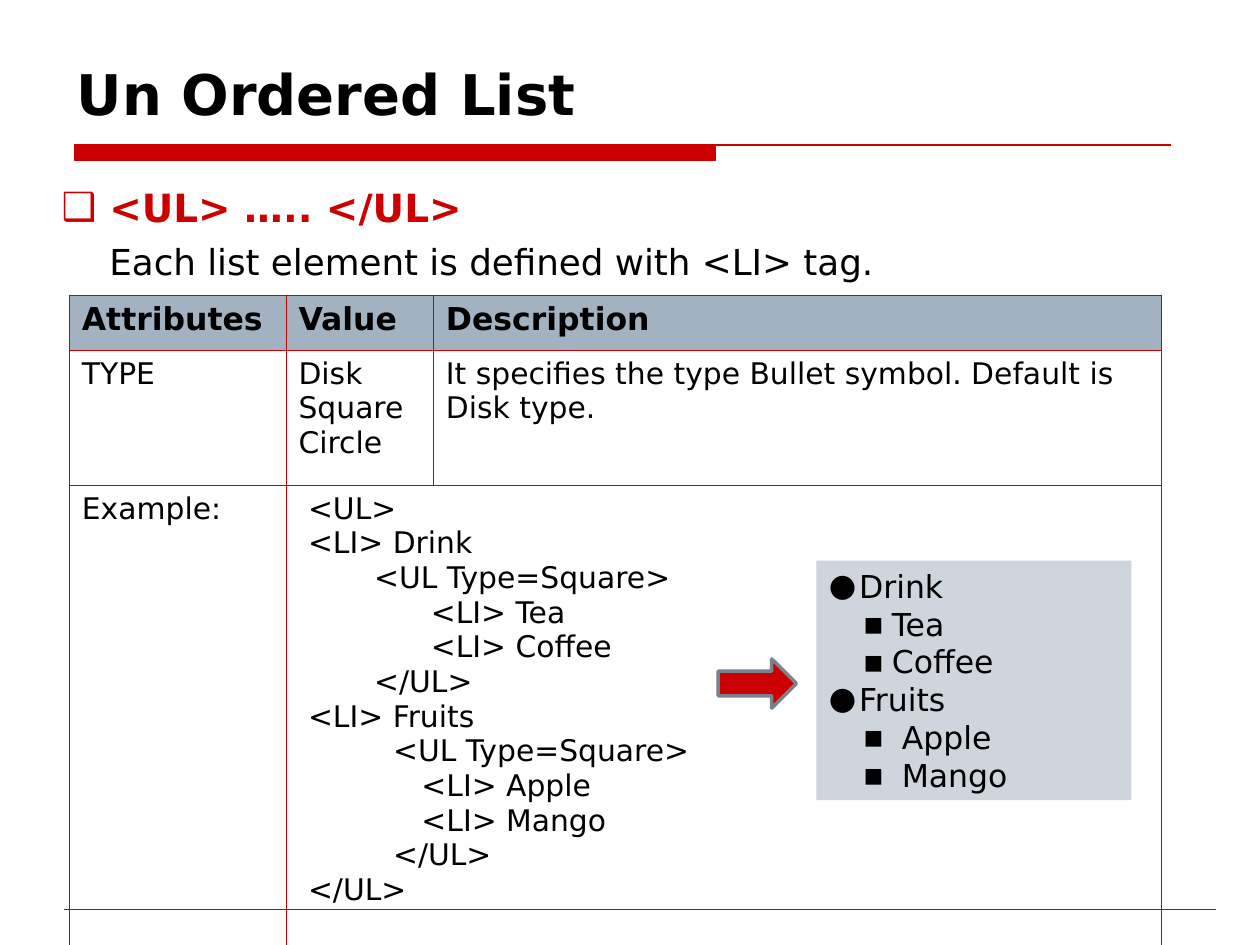
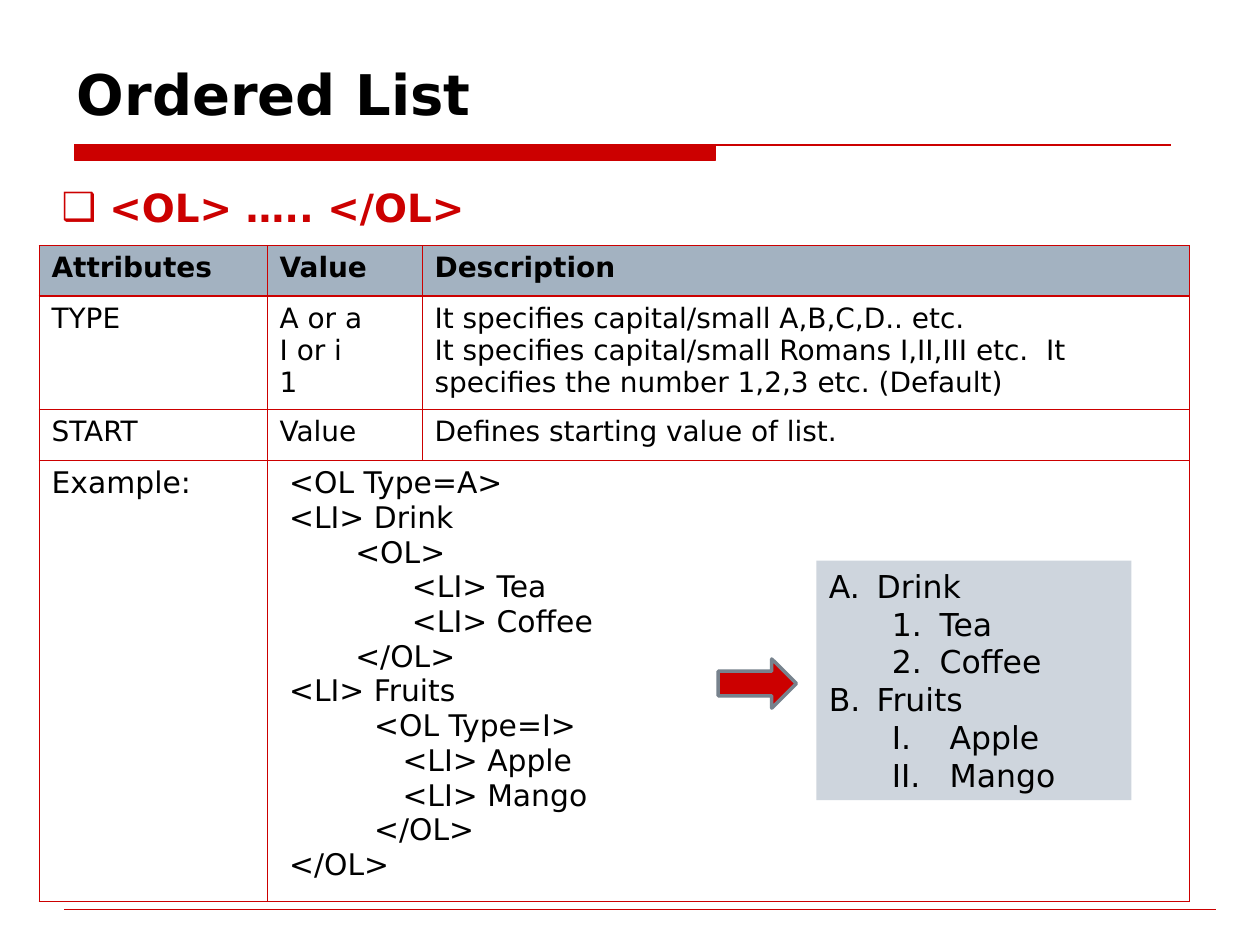
from dataclasses import dataclass
from typing import NamedTuple

from lxml.etree import SubElement
from pptx import Presentation
from pptx.dml.color import RGBColor
from pptx.enum.shapes import MSO_CONNECTOR, MSO_SHAPE
from pptx.enum.text import MSO_ANCHOR, MSO_AUTO_SIZE, PP_ALIGN
from pptx.oxml.ns import qn
from pptx.util import Inches, Pt

COLORS = {
    "accent": "CC0000",
    "text": "000000",
    "header": "A3B2C1",
    "panel": "CED5DD",
    "arrow_edge": "77828D",
}
FONT = "DejaVu Sans"
CODE_SIZE = 17
CODE_STEP = 0.075  # inches for one character of code indent
THIN, THICK = 0.45, 0.96


class Bullet(NamedTuple):
    kind: str  # "buChar" or "buAutoNum"
    value: str
    margin: float
    hanging: float


class Item(NamedTuple):
    text: str
    bullet: Bullet


class CodeLine(NamedTuple):
    indent: int
    text: str


@dataclass
class ListPage:
    title: str
    tag_line: str
    explanation: str
    table_left: float
    table_top: float
    columns: list[float]
    rows: list[float]
    header_size: int
    body_size: int
    attributes: list[list[str]]
    code: list[CodeLine]
    result: list[Item]


def code_lines(tag: str, outer: str, drinks: str, fruits: str) -> list[CodeLine]:
    """Nested list markup with the given opening tags."""
    close = f"</{tag}>"
    return [
        CodeLine(1, outer), CodeLine(1, "<LI> Drink"),
        CodeLine(8, drinks), CodeLine(14, "<LI> Tea"),
        CodeLine(14, "<LI> Coffee"), CodeLine(8, close),
        CodeLine(1, "<LI> Fruits"),
        CodeLine(10, fruits), CodeLine(13, "<LI> Apple"),
        CodeLine(13, "<LI> Mango"), CodeLine(10, close),
        CodeLine(1, close),
    ]


def result_items(top: Bullet, drinks: Bullet, fruits: Bullet) -> list[Item]:
    return [
        Item("Drink", top), Item("Tea", drinks), Item("Coffee", drinks),
        Item("Fruits", top), Item(" Apple", fruits), Item(" Mango", fruits),
    ]


HEADER = ["Attributes", "Value", "Description"]
CHECKBOX = Bullet("buChar", "❑", 0.38, 0.38)
DISK = Bullet("buChar", "●", 0.24, 0.24)
SQUARE = Bullet("buChar", "▪", 0.5, 0.23)
LETTER = Bullet("buAutoNum", "alphaUcPeriod", 0.38, 0.38)
NUMBER = Bullet("buAutoNum", "arabicPeriod", 0.88, 0.38)
ROMAN = Bullet("buAutoNum", "romanUcPeriod", 0.88, 0.38)

PAGES = [
    ListPage(
        title="Un Ordered List",
        tag_line="<UL> ….. </UL>",
        explanation="Each list element is defined with <LI> tag.",
        table_left=0.55, table_top=2.34,
        columns=[1.72, 1.17, 5.78], rows=[0.44, 1.07, 3.98],
        header_size=18, body_size=17,
        attributes=[[
            "TYPE", "Disk\nSquare\nCircle",
            "It specifies the type Bullet symbol. Default is Disk type.",
        ]],
        code=code_lines("UL", "<UL>", "<UL Type=Square>", "<UL Type=Square>"),
        result=result_items(DISK, SQUARE, SQUARE),
    ),
    ListPage(
        title="Ordered List",
        tag_line="<OL> ….. </OL>",
        explanation="",
        table_left=0.31, table_top=1.95,
        columns=[1.81, 1.23, 6.09], rows=[0.4, 0.9, 0.4, 3.5],
        header_size=16, body_size=16,
        attributes=[
            ["TYPE", "A or a\nI or i\n1",
             "It specifies capital/small A,B,C,D.. etc.\n"
             "It specifies capital/small Romans I,II,III etc.  "
             "It specifies the number 1,2,3 etc. (Default)"],
            ["START", "Value", "Defines starting value of list."],
        ],
        code=code_lines("OL", "<OL Type=A>", "<OL>", "<OL Type=I>"),
        result=result_items(LETTER, NUMBER, ROMAN),
    ),
]


# Formatting helpers
def color(name: str) -> RGBColor:
    return RGBColor.from_string(COLORS[name])


def format_text(para, size: float, bold: bool = False, name: str = "text") -> None:
    para.alignment = PP_ALIGN.LEFT
    for span in para.runs:
        span.font.name = FONT
        span.font.size = Pt(size)
        span.font.bold = bold
        span.font.color.rgb = color(name)


def set_indent(para, margin: float, first_line: float = 0) -> None:
    properties = para._p.get_or_add_pPr()
    properties.set("marL", str(Inches(margin)))
    properties.set("indent", str(Inches(first_line)))


def set_bullet(para, bullet: Bullet, name: str = "text") -> None:
    set_indent(para, bullet.margin, -bullet.hanging)
    properties = para._p.get_or_add_pPr()
    bullet_color = SubElement(properties, qn("a:buClr"))
    SubElement(bullet_color, qn("a:srgbClr"), val=COLORS[name])
    SubElement(properties, qn("a:buFont"), typeface=FONT)
    attribute = "char" if bullet.kind == "buChar" else "type"
    SubElement(properties, qn(f"a:{bullet.kind}"), {attribute: bullet.value})


def set_borders(cell, top: float, bottom: float) -> None:
    properties = cell._tc.get_or_add_tcPr()
    widths = {"lnL": THIN, "lnR": THIN, "lnT": top, "lnB": bottom}
    for side, width in widths.items():
        line = SubElement(properties, qn(f"a:{side}"), w=str(Pt(width)))
        fill = SubElement(line, qn("a:solidFill"))
        SubElement(fill, qn("a:srgbClr"), val=COLORS["accent"])


# Shared frame: title, band and footer rule
def add_frame(page, title_text: str) -> None:
    left, middle, right = Inches(0.59), Inches(5.68), Inches(9.29)
    top, bottom = Inches(1.15), Inches(1.27)
    builder = page.shapes.build_freeform(left, top)
    builder.add_line_segments([(middle, top), (middle, bottom), (left, bottom)])
    builder.move_to(left, top)
    builder.add_line_segments([(right, top)], close=False)
    band = builder.convert_to_shape()
    band.shadow.inherit = False
    band.fill.solid()
    band.fill.fore_color.rgb = color("accent")
    band.line.color.rgb = color("accent")
    band.line.width = Pt(0.75)

    rule = page.shapes.add_connector(
        MSO_CONNECTOR.STRAIGHT, Inches(0.51), Inches(7.22), Inches(9.65), Inches(7.22))
    rule.line.color.rgb = color("accent")
    rule.line.width = Pt(0.25)
    SubElement(rule._element.spPr, qn("a:effectLst"))

    title = page.shapes.title
    title.left, title.top = Inches(0.51), Inches(0.36)
    title.width, title.height = Inches(9), Inches(0.7)
    title.text_frame.text = title_text
    title.text_frame.vertical_anchor = MSO_ANCHOR.BOTTOM
    format_text(title.text_frame.paragraphs[0], 32, bold=True)


def add_introduction(page, content: ListPage) -> None:
    height = 0.94 if content.explanation else 0.47
    box = page.shapes.add_textbox(
        Inches(0.39), Inches(1.41), Inches(9.17), Inches(height))
    frame = box.text_frame
    frame.word_wrap = True
    frame.text = content.tag_line
    tag = frame.paragraphs[0]
    tag.space_before = Pt(6)
    format_text(tag, 22.2, bold=True, name="accent")
    set_bullet(tag, CHECKBOX, "accent")
    if content.explanation:
        para = frame.add_paragraph()
        para.text = content.explanation
        para.space_before = Pt(5.5)
        set_indent(para, CHECKBOX.margin)
        format_text(para, 20.4)


# Attribute table with the code example in its last row
def add_attribute_table(page, content: ListPage) -> None:
    table = page.shapes.add_table(
        len(content.rows), len(content.columns),
        Inches(content.table_left), Inches(content.table_top),
        Inches(sum(content.columns)), Inches(sum(content.rows))).table
    table.first_row = table.horz_banding = False
    for column, width in zip(table.columns, content.columns):
        column.width = Inches(width)
    for row, height in zip(table.rows, content.rows):
        row.height = Inches(height)

    last = len(content.rows) - 1
    code_text = "\n".join(line.text for line in content.code)
    values = [HEADER, *content.attributes, ["Example:", code_text, ""]]
    table.cell(last, 1).merge(table.cell(last, 2))
    for row_index, row_values in enumerate(values):
        is_header = row_index == 0
        size = (content.header_size if is_header
                else CODE_SIZE if row_index == last else content.body_size)
        for column_index, value in enumerate(row_values):
            cell = table.cell(row_index, column_index)
            set_borders(cell, THICK if row_index == 1 else THIN,
                        THICK if is_header else THIN)
            if is_header:
                cell.fill.solid()
                cell.fill.fore_color.rgb = color("header")
            else:
                cell.fill.background()
            if cell.is_spanned:
                continue
            cell.text_frame.text = value
            for para in cell.text_frame.paragraphs:
                format_text(para, size, bold=is_header)
    for para, line in zip(table.cell(last, 1).text_frame.paragraphs, content.code):
        set_indent(para, line.indent * CODE_STEP)


# Rendered list and the arrow that leads to it
def add_result(page, items: list[Item]) -> None:
    panel = page.shapes.add_shape(
        MSO_SHAPE.RECTANGLE, Inches(6.48), Inches(4.45), Inches(2.5), Inches(1.9))
    panel.shadow.inherit = False
    panel.fill.solid()
    panel.fill.fore_color.rgb = color("panel")
    panel.line.fill.background()
    frame = panel.text_frame
    frame.word_wrap = True
    frame.vertical_anchor = MSO_ANCHOR.TOP
    frame.auto_size = MSO_AUTO_SIZE.SHAPE_TO_FIT_TEXT
    frame.text = "\n".join(item.text for item in items)
    for para, item in zip(frame.paragraphs, items):
        para.level = 0 if item.bullet in (DISK, LETTER) else 1
        format_text(para, 18)
        set_bullet(para, item.bullet)

    arrow = page.shapes.add_shape(
        MSO_SHAPE.RIGHT_ARROW, Inches(5.7), Inches(5.23), Inches(0.62), Inches(0.39))
    arrow.shadow.inherit = False
    arrow.fill.solid()
    arrow.fill.fore_color.rgb = color("accent")
    arrow.line.color.rgb = color("arrow_edge")
    arrow.line.width = Pt(2)


def main() -> None:
    deck = Presentation()
    deck.slide_width, deck.slide_height = Inches(10), Inches(7.5)
    title_only = deck.slide_layouts[5]
    for content in PAGES:
        page = deck.slides.add_slide(title_only)
        add_frame(page, content.title)
        add_introduction(page, content)
        add_attribute_table(page, content)
        add_result(page, content.result)
    deck.save("out.pptx")


if __name__ == "__main__":
    main()
